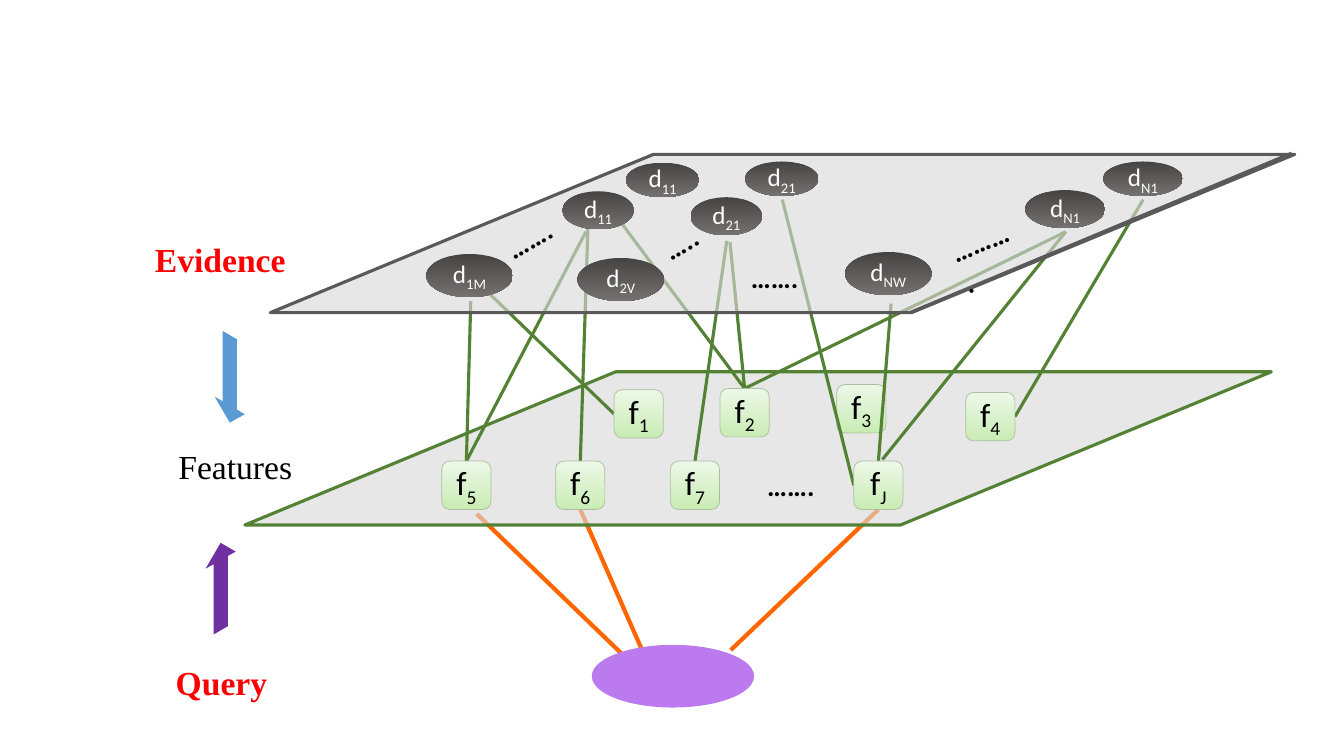
"""Build a slide that links a query to features and to evidence documents."""
from lxml import etree
from pptx import Presentation
from pptx.dml.color import RGBColor
from pptx.enum.shapes import MSO_CONNECTOR, MSO_SHAPE
from pptx.enum.text import MSO_ANCHOR, PP_ALIGN
from pptx.oxml.ns import qn
from pptx.util import Cm, Pt

STRAIGHT = MSO_CONNECTOR.STRAIGHT
OVAL, ROUNDED, SLANTED = MSO_SHAPE.OVAL, MSO_SHAPE.ROUNDED_RECTANGLE, MSO_SHAPE.PARALLELOGRAM
CENTER, LEFT, MIDDLE = PP_ALIGN.CENTER, PP_ALIGN.LEFT, MSO_ANCHOR.MIDDLE
TOP_SIDE, LEFT_SIDE, BOTTOM_SIDE, RIGHT_SIDE = 0, 1, 2, 3
GREEN, GRAY, ORANGE, PURPLE, RED, BLACK = "548235", "595959", "FF6600", "7030A0", "FF0000", "000000"

TILT = 0.84
FEATURE_SIZE = (0.49, 0.57)
HIDDEN_FEATURE = "3"
FEATURES = {
    "1": (6.09, 3.82), "2": (7.14, 3.81), "3": (8.3, 3.77), "4": (9.58, 3.85),
    "5": (4.38, 4.53), "6": (5.51, 4.53), "7": (6.65, 4.53), "J": (8.47, 4.53),
}
DOCUMENTS = [
    ("11", 6.21, 1.58, 0.73, 0.41), ("11", 5.58, 1.86, 0.71, 0.45),
    ("1M", 4.23, 2.48, 0.86, 0.51), ("21", 7.39, 1.57, 0.73, 0.41),
    ("21", 6.85, 1.92, 0.71, 0.45), ("N1", 10.94, 1.57, 0.79, 0.41),
    ("N1", 10.17, 1.85, 0.79, 0.45), ("2V", 5.73, 2.52, 0.86, 0.51),
    ("NW", 8.38, 2.46, 0.86, 0.51),
]
QUERY_LINKS = [
    ((6.16, 6.48), (4.73, 5.1)),
    ((6.38, 6.48), ("6", BOTTOM_SIDE)),
    ((7.25, 6.45), ("J", BOTTOM_SIDE)),
]
DOCUMENT_LINKS = [
    ((10.57, 2.3), ("2", TOP_SIDE)), ((4.67, 2.99), ("5", TOP_SIDE)),
    ((5.83, 2.27), ("6", TOP_SIDE)), ((5.81, 2.3), ("5", TOP_SIDE)),
    ((6.17, 2.22), ("2", TOP_SIDE)), ((4.85, 2.91), ("1", LEFT_SIDE)),
    ((8.84, 3.01), ("J", TOP_SIDE)), ((10.57, 2.3), (8.75, 4.56)),
    ((11.34, 1.98), ("4", RIGHT_SIDE)), ((7.21, 2.39), ("7", TOP_SIDE)),
    ((7.24, 2.4), ("2", TOP_SIDE)), ((7.76, 1.98), ("J", LEFT_SIDE)),
]
PLANE_EDGES = [((9.03, 3.1), (12.81, 1.52)), ((2.71, 3.1), (9.01, 3.1))]
DOTS = [
    ("…….", 4.9, 2.11, -29.6), ("…..", 6.46, 2.12, -29.6), ("……….", 9.32, 2.17, -22.5),
    ("…….", 7.35, 2.53, 0), ("…….", 7.51, 4.6, 0),
]
LABELS = [
    ("Evidence", 1.26, 2.32, RED, True),
    ("Features", 1.41, 4.37, BLACK, False),
    ("Query", 1.27, 6.52, RED, True),
]
ARROWS = [(2.28, 3.76, 1, "5B9BD5"), (2.19, 5.82, -1, PURPLE)]
ARROW_OUTLINE = [
    (-0.1, -0.53), (0.1, -0.53), (0.1, 0.32), (0.21, 0.32),
    (0, 0.53), (-0.21, 0.32), (-0.1, 0.32),
]


def length(inches):
    return Cm(round(inches * 2.54, 2))


def lengths(*values):
    return [length(value) for value in values]


def color(code):
    return RGBColor.from_string(code)


def add_preset(page, kind, left, top, width, height):
    shape = page.shapes.add_shape(kind, *lengths(left, top, width, height))
    shape.shadow.inherit = False
    shape.line.fill.background()
    return shape


def add_tilted(page, kind, left, top, width, height):
    return add_preset(page, kind, left, top + height * (1 - TILT) / 2, width, height * TILT)


def add_span(para, text, **formats):
    span = para.add_run()
    span.text = text
    span.font.color.rgb = color(formats.pop("shade"))
    for name, value in formats.items():
        setattr(span.font, name, value)
    return span


def add_symbol(shape, letter, index, size, shade):
    frame = shape.text_frame
    settings = dict(word_wrap=False, vertical_anchor=MIDDLE, margin_left=0,
                    margin_right=0, margin_top=0, margin_bottom=0)
    for name, value in settings.items():
        setattr(frame, name, value)
    para = frame.paragraphs[0]
    para.alignment = CENTER
    formats = dict(name="Calibri", size=Pt(size), shade=shade)
    add_span(para, letter, **formats)
    subscript = add_span(para, index, **formats)
    subscript.font._element.set("baseline", "-25000")


def set_gradient(shape, start, end, angle):
    shape.fill.gradient()
    shape.fill.gradient_angle = angle
    for stop, code in zip(shape.fill.gradient_stops, (start, end)):
        stop.color.rgb = color(code)


def add_plane(page, left, top, width, height, edge):
    plane = add_preset(page, SLANTED, left, top, width, height)
    plane.adjustments[0] = 2.42
    plane.fill.solid()
    plane.fill.fore_color.rgb = color("D9D9D9")
    tint = plane._element.spPr.find(qn("a:solidFill")).find(qn("a:srgbClr"))
    etree.SubElement(tint, qn("a:alpha")).set("val", "62000")
    plane.line.color.rgb = color(edge)
    plane.line.width = Pt(2.25)


def add_line(page, start, end, shade, width):
    line = page.shapes.add_connector(STRAIGHT, *lengths(*start, *end))
    line.line.color.rgb = color(shade)
    line.line.width = Pt(width)
    etree.SubElement(line._element.spPr, qn("a:effectLst"))
    return line


def add_links(page, links, shade, width):
    joins = []
    for start, target in links:
        joined = target[0] in FEATURES
        line = add_line(page, start, start if joined else target, shade, width)
        if joined:
            joins.append((line, *target))
    return joins


def add_feature(page, index):
    box = add_tilted(page, ROUNDED, *FEATURES[index], *FEATURE_SIZE)
    set_gradient(box, "C9ECB4", "EDF8E8", 90)
    box.line.color.rgb = color("A9BFA0")
    box.line.width = Pt(0.5)
    add_symbol(box, "f", index, 24, BLACK)
    return box


def add_document(page, index, *place):
    oval = add_tilted(page, OVAL, *place)
    set_gradient(oval, "464343", "767171", 270)
    add_symbol(oval, "d", index, 18, "FFFFFF")


def add_text(page, text, place, align, **formats):
    box = page.shapes.add_textbox(*lengths(*place))
    box.text_frame.word_wrap = True
    para = box.text_frame.paragraphs[0]
    para.alignment = align
    add_span(para, text, **formats)
    return box


def add_arrow(page, center_x, center_y, direction, shade):
    points = [
        tuple(lengths(center_x + 0.71 * x, center_y + direction * 0.82 * y + direction * 0.41 * x))
        for x, y in ARROW_OUTLINE
    ]
    builder = page.shapes.build_freeform(*points[0])
    builder.add_line_segments(points[1:], close=True)
    arrow = builder.convert_to_shape()
    arrow.shadow.inherit = False
    arrow.fill.solid()
    arrow.fill.fore_color.rgb = color(shade)
    arrow.line.fill.background()


def main():
    deck = Presentation()
    deck.slide_width, deck.slide_height = lengths(13.33, 7.5)
    page = deck.slides.add_slide(deck.slide_layouts[6])

    joins = add_links(page, QUERY_LINKS, ORANGE, 3)
    add_plane(page, 2.43, 3.69, 10.18, 1.52, GREEN)
    boxes = {HIDDEN_FEATURE: add_feature(page, HIDDEN_FEATURE)}
    joins += add_links(page, DOCUMENT_LINKS, GREEN, 2.25)
    add_plane(page, 2.68, 1.53, 10.16, 1.57, GRAY)
    for index in FEATURES:
        if index != HIDDEN_FEATURE:
            boxes[index] = add_feature(page, index)
    for line, index, side in joins:
        line.end_connect(boxes[index], side)

    for document in DOCUMENTS:
        add_document(page, *document)
    for text, left, top, angle in DOTS:
        dots = add_text(page, text, (left, top, 0.85, 0.44), LEFT,
                        name="Calibri", size=Pt(20), bold=True, shade=BLACK)
        dots.rotation = angle
    for start, end in PLANE_EDGES:
        add_line(page, start, end, GRAY, 2.25)
    for text, left, top, shade, bold in LABELS:
        add_text(page, text, (left, top, 1.85, 0.5), CENTER,
                 name="Times New Roman", size=Pt(24), bold=bold, shade=shade)
    for arrow in ARROWS:
        add_arrow(page, *arrow)
    query = add_tilted(page, OVAL, 5.87, 6.34, 1.61, 0.74)
    query.fill.solid()
    query.fill.fore_color.rgb = color("BB7AEE")
    deck.save("out.pptx")


if __name__ == "__main__":
    main()
